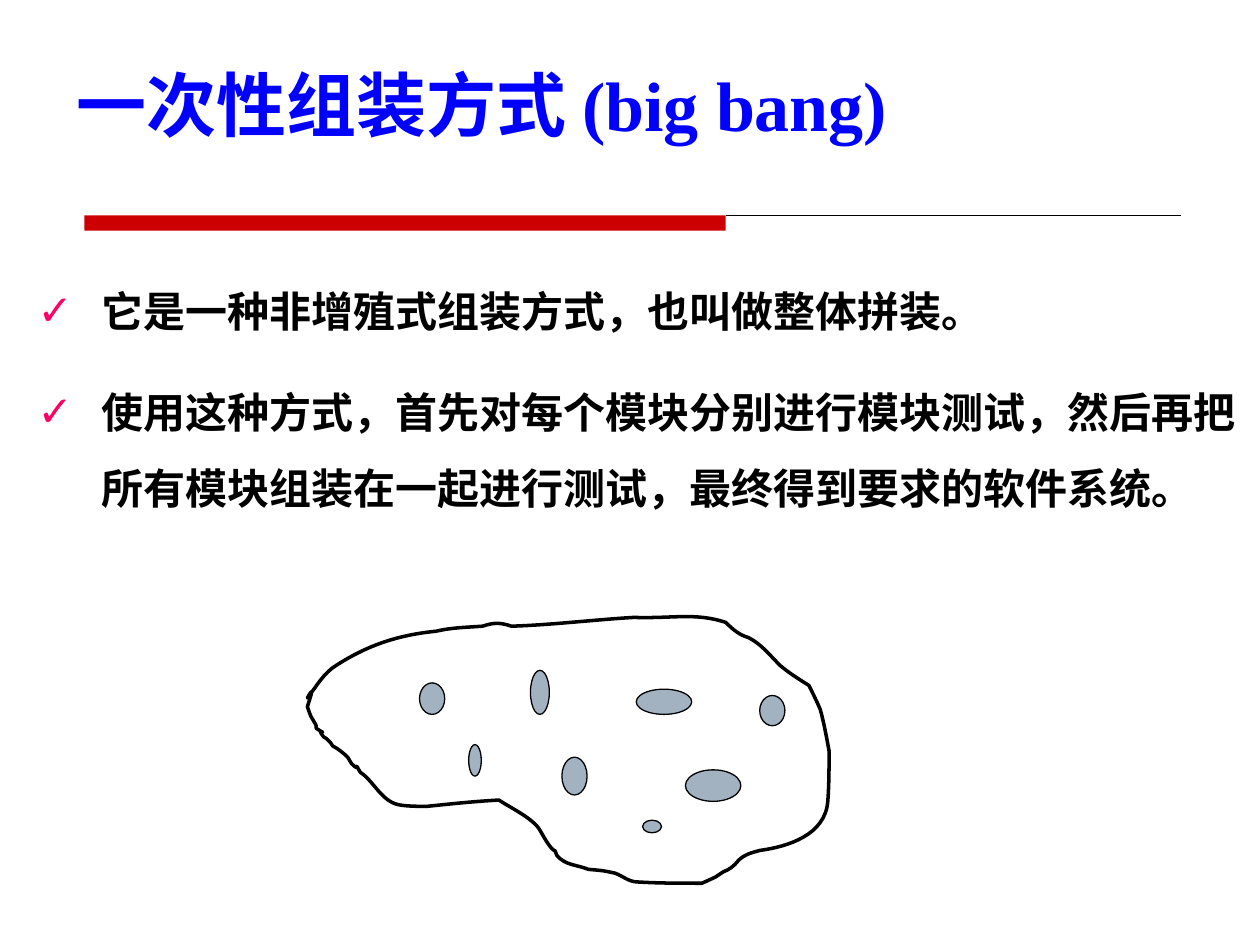
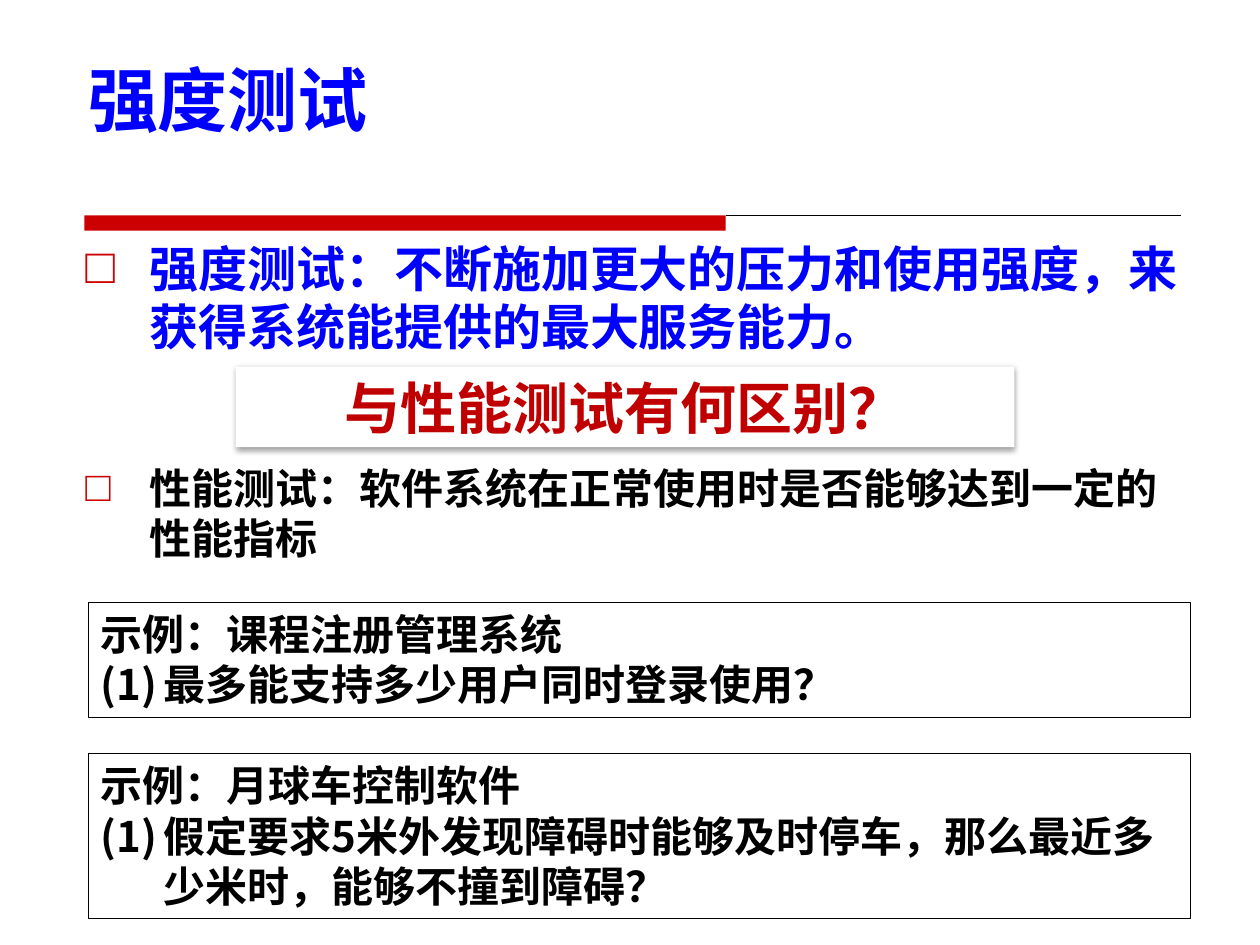
from lxml.etree import SubElement
from pptx import Presentation
from pptx.dml.color import RGBColor
from pptx.enum.shapes import MSO_CONNECTOR as CONNECTOR, MSO_SHAPE as SHAPE
from pptx.enum.text import MSO_ANCHOR as ANCHOR, PP_ALIGN as ALIGN
from pptx.oxml.ns import qn
from pptx.util import Inches, Pt

BLUE = RGBColor(0x00, 0x00, 0xFF)
RED = RGBColor(0xCC, 0x00, 0x00)
DARK_RED = RGBColor(0xC0, 0x00, 0x00)
PINK = RGBColor(0xFF, 0x00, 0x66)
BLACK = RGBColor(0x00, 0x00, 0x00)
WHITE = RGBColor(0xFF, 0xFF, 0xFF)
MODULE_GREY = RGBColor(0xA3, 0xB2, 0xC1)
SANS = "Noto Sans CJK SC"
SERIF = "Times New Roman"
SYMBOLS = "DejaVu Sans"
BULLET_FONTS = {"✓": SYMBOLS, "□": SERIF}


def add_text(frame, runs, size, color, before=0, leading=1.2, indent=0,
             bullet=None, bullet_color=None):
    """Write one paragraph of (text, font) runs, with an optional hanging bullet."""
    first = not frame.paragraphs[0].runs
    para = frame.paragraphs[0] if first else frame.add_paragraph()
    props = para._p.get_or_add_pPr()
    if bullet:
        props.set("marL", str(Inches(indent)))
        props.set("indent", str(-Inches(indent)))
        if bullet == "(1)":
            SubElement(props, qn("a:buAutoNum"), type="arabicParenBoth")
        else:
            bullet_fill = SubElement(props, qn("a:buClr"))
            SubElement(bullet_fill, qn("a:srgbClr"), val=str(bullet_color))
            SubElement(props, qn("a:buFont"), typeface=BULLET_FONTS[bullet])
            SubElement(props, qn("a:buChar"), char=bullet)
    para.alignment = ALIGN.LEFT
    para.line_spacing = Pt(round(size * leading, 1))
    para.space_before = Pt(before)
    for text, font in runs:
        run = para.add_run()
        run.text = text
        run.font.size = Pt(size)
        run.font.bold = True
        run.font.color.rgb = color
        run.font.name = font
        SubElement(run._r.get_or_add_rPr(), qn("a:ea"), typeface=SANS)
    return para


def add_box(slide, box, kind=None, fill=None, line=None, width=0.75):
    """Add a wrapping text box, or a preset shape with flat styling."""
    place = [Inches(v) for v in box]
    if kind is None:
        shape = slide.shapes.add_textbox(*place)
    else:
        shape = slide.shapes.add_shape(kind, *place)
        shape.shadow.inherit = False
        if fill is None:
            shape.fill.background()
        else:
            shape.fill.solid()
            shape.fill.fore_color.rgb = fill
        if line is None:
            shape.line.fill.background()
        else:
            shape.line.color.rgb = line
            shape.line.width = Pt(width)
    shape.text_frame.word_wrap = True
    shape.text_frame.vertical_anchor = ANCHOR.TOP
    return shape


prs = Presentation()
prs.slide_width, prs.slide_height = Inches(10), Inches(7.5)
blank = prs.slide_layouts[6]
big_bang, stress = [prs.slides.add_slide(blank) for _ in range(2)]

# Red band and hairline, moved to the layout so that both slides share them
band = add_box(big_bang, (0.67, 1.71, 5.09, 0.12), SHAPE.RECTANGLE, RED)
hairline = big_bang.shapes.add_connector(
    CONNECTOR.STRAIGHT, Inches(5.76), Inches(1.71), Inches(9.37), Inches(1.71))
hairline.line.color.rgb = BLACK
hairline.line.width = Pt(0.25)
SubElement(hairline._element.spPr, qn("a:effectLst"))
for shared in (band, hairline):
    blank.shapes._spTree.append(shared._element)

# Titles
for slide, title_box, anchor, title_runs in [
    (big_bang, (0.51, 0.36, 9.21, 0.92), ANCHOR.MIDDLE,
     [("一次性组装方式 ", SANS), ("(big bang)", SERIF)]),
    (stress, (0.6, 0.4, 8.09, 0.94), ANCHOR.TOP, [("强度测试", SANS)]),
]:
    title = add_box(slide, title_box)
    title.text_frame.vertical_anchor = anchor
    add_text(title.text_frame, title_runs, 40, BLUE)

# Slide 1: description
description = add_box(big_bang, (0.2, 2.02, 9.8, 2.47)).text_frame
for text, before in [
    ("它是一种非增殖式组装方式，也叫做整体拼装。", 0),
    ("使用这种方式，首先对每个模块分别进行模块测试，然后再把所有模块组装在一起进行测试，"
     "最终得到要求的软件系统。", 14.4),
]:
    add_text(description, [(text, SANS)], 24, BLACK, before, leading=1.8,
             indent=0.51, bullet="✓", bullet_color=PINK)

# Slide 1: outline of the whole system, as cubic curves (two controls, one end)
outline_start = (2.44, 5.54)
outline_curves = [
    (2.51, 5.45, 2.57, 5.34, 2.67, 5.28), (2.92, 5.12, 3.16, 5.04, 3.46, 5.01),
    (3.59, 4.98, 3.69, 4.98, 3.83, 4.97), (3.92, 4.94, 3.97, 4.94, 4.06, 4.97),
    (4.38, 4.96, 4.7, 4.92, 5.03, 4.9), (5.35, 4.91, 5.52, 4.86, 5.76, 4.94),
    (5.82, 5, 5.87, 5.04, 5.94, 5.06), (6.04, 5.11, 6.11, 5.2, 6.19, 5.28),
    (6.26, 5.34, 6.34, 5.39, 6.42, 5.44), (6.45, 5.5, 6.48, 5.56, 6.51, 5.63),
    (6.54, 5.74, 6.56, 5.85, 6.58, 5.96), (6.58, 6.09, 6.58, 6.23, 6.57, 6.36),
    (6.55, 6.63, 6.25, 6.72, 6.03, 6.75), (5.96, 6.77, 5.91, 6.78, 5.86, 6.83),
    (5.82, 6.88, 5.79, 6.9, 5.74, 6.92), (5.72, 6.93, 5.7, 6.95, 5.68, 6.96),
    (5.64, 6.98, 5.57, 7.01, 5.57, 7.01), (5.4, 7.01, 5.23, 7.01, 5.06, 7),
    (4.99, 7, 4.94, 6.95, 4.88, 6.93), (4.79, 6.91, 4.79, 6.91, 4.67, 6.9),
    (4.57, 6.86, 4.49, 6.87, 4.42, 6.79), (4.39, 6.71, 4.42, 6.79, 4.36, 6.71),
    (4.33, 6.67, 4.31, 6.63, 4.28, 6.58), (4.22, 6.49, 4.05, 6.41, 3.96, 6.35),
    (3.77, 6.36, 3.58, 6.38, 3.39, 6.4), (3.32, 6.4, 3.25, 6.4, 3.18, 6.39),
    (3.03, 6.37, 2.97, 6.2, 2.86, 6.13), (2.79, 6.01, 2.88, 6.15, 2.79, 6.06),
    (2.78, 6.04, 2.78, 6.03, 2.76, 6.01), (2.73, 5.98, 2.68, 5.94, 2.64, 5.92),
    (2.63, 5.9, 2.62, 5.89, 2.61, 5.88), (2.6, 5.86, 2.58, 5.86, 2.57, 5.85),
    (2.49, 5.75, 2.63, 5.86, 2.51, 5.78), (2.51, 5.76, 2.51, 5.75, 2.5, 5.74),
    (2.49, 5.72, 2.48, 5.71, 2.47, 5.69), (2.46, 5.67, 2.44, 5.61, 2.44, 5.61),
    (2.45, 5.57, 2.51, 5.41, 2.44, 5.54),
]
builder = big_bang.shapes.build_freeform(*[Inches(v) for v in outline_start])
builder.add_line_segments(
    [(Inches(curve[4]), Inches(curve[5])) for curve in outline_curves], close=True)
system = builder.convert_to_shape()
system.shadow.inherit = False
system.fill.background()
system.line.color.rgb = BLACK
system.line.width = Pt(2)

# Bend each straight segment of the outline into its curve
segments = list(system._element.iter(qn("a:lnTo")))
for segment, curve in zip(segments, outline_curves):
    bend = segment.makeelement(qn("a:cubicBezTo"))
    for x, y in zip(curve[::2], curve[1::2]):
        SubElement(bend, qn("a:pt"), x=str(Inches(x) - system.left),
                   y=str(Inches(y) - system.top))
    segment.getparent().replace(segment, bend)

# Slide 1: modules inside the system
for module in [
    (3.33, 5.42, 0.2, 0.25), (4.21, 5.32, 0.15, 0.35), (4.46, 6.01, 0.2, 0.3),
    (5.05, 5.47, 0.44, 0.2), (5.44, 6.11, 0.44, 0.25), (3.72, 5.91, 0.1, 0.25),
    (5.1, 6.51, 0.15, 0.1), (6.03, 5.52, 0.2, 0.24),
]:
    add_box(big_bang, module, SHAPE.OVAL, MODULE_GREY, BLACK)

# Slide 2: the two definitions, with room for the question between them
definitions = add_box(stress, (0.58, 1.84, 9, 2.95)).text_frame
for text, size, color, before in [
    ("强度测试：不断施加更大的压力和使用强度，来获得系统能提供的最大服务能力。", 28, BLUE, 0),
    ("性能测试：软件系统在正常使用时是否能够达到一定的性能指标", 24, BLACK, 61),
]:
    add_text(definitions, [(text, SYMBOLS)], size, color, before,
             indent=0.51, bullet="□", bullet_color=RED)

# Slide 2: examples
for top, height, heading, question in [
    (5.98, 1.31, "示例：月球车控制软件",
     "假定要求5米外发现障碍时能够及时停车，那么最近多少米时，能够不撞到障碍？"),
    (4.78, 0.91, "示例：课程注册管理系统", "最多能支持多少用户同时登录使用？"),
]:
    example = add_box(stress, (0.7, top, 8.75, height), SHAPE.RECTANGLE,
                      line=BLACK, width=0.25).text_frame
    add_text(example, [(heading, SANS)], 24, BLACK)
    add_text(example, [(question, SANS)], 24, BLACK, indent=0.5, bullet="(1)")

# Slide 2: question on a card with a soft shadow
question_card = add_box(stress, (1.87, 2.91, 6.18, 0.64), SHAPE.RECTANGLE, WHITE)
add_text(question_card.text_frame, [("与性能测试有何区别？", SANS)], 32,
         DARK_RED, leading=1.22).alignment = ALIGN.CENTER
effects = question_card._element.spPr.find(qn("a:effectLst"))
shadow = SubElement(effects, qn("a:outerShdw"), blurRad=str(Pt(3.1)),
                    dist=str(Pt(1.6)), dir="5400000", rotWithShape="0")
shadow_color = SubElement(shadow, qn("a:srgbClr"), val=str(BLACK))
SubElement(shadow_color, qn("a:alpha"), val="38000")

prs.save("out.pptx")
